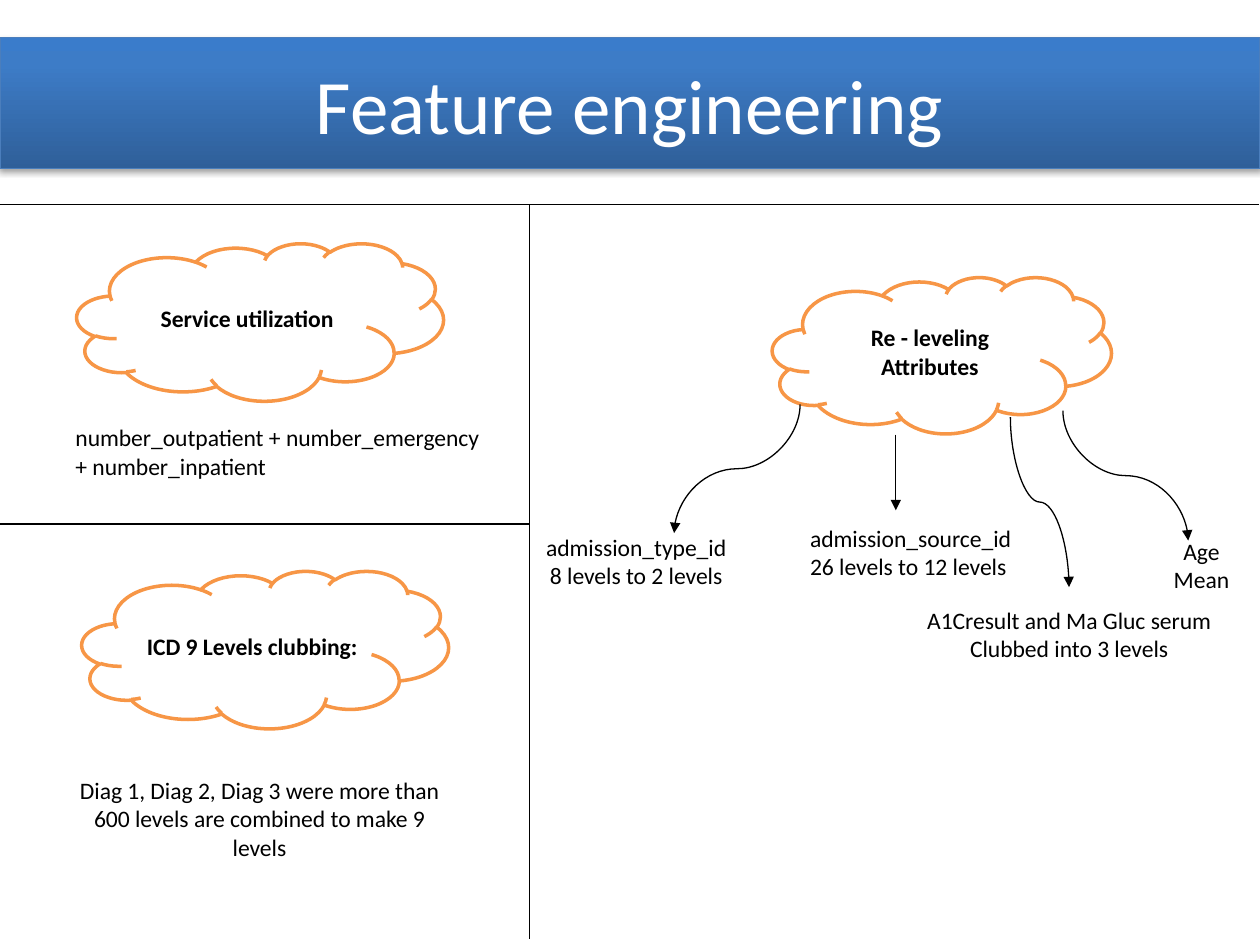
import copy

import pptx
import pptx.dml.color
import pptx.enum.dml
import pptx.enum.shapes
import pptx.enum.text
import pptx.oxml
import pptx.oxml.ns
import pptx.util

Pt = pptx.util.Pt
qn = pptx.oxml.ns.qn
SHAPE = pptx.enum.shapes.MSO_SHAPE
CONNECTOR = pptx.enum.shapes.MSO_CONNECTOR
ALIGN = pptx.enum.text.PP_ALIGN
ANCHOR = pptx.enum.text.MSO_ANCHOR
AUTO_SIZE = pptx.enum.text.MSO_AUTO_SIZE
NS = pptx.oxml.ns.nsdecls("a")


def rgb(value):
    return pptx.dml.color.RGBColor.from_string(value)


class SlideBuilder:
    font = "Calibri"
    size = 13.5
    black = "000000"
    white = "FFFFFF"
    accent = "F79646"
    title_line = "4B7EBC"
    title_stops = ((0, "2F5F99"), (0.8, "3D7CC7"), (1, "3A7CCB"))

    def __init__(self, s):
        self.s = s

    def format_text(self, tf, align, size=None, color=None, bold=False):
        for p in tf.paragraphs:
            p.alignment = align
            for r in p.runs:
                r.font.name = self.font
                r.font.size = Pt(size or self.size)
                r.font.bold = bold
                r.font.color.rgb = rgb(color or self.black)

    def title(self, text, x, y, w, h):
        sp = self.s.shapes.title
        sp.left, sp.top, sp.width, sp.height = Pt(x), Pt(y), Pt(w), Pt(h)
        sp.fill.gradient()
        sp.fill.gradient_angle = 90
        spPr = sp.element.spPr
        stops = spPr.find(".//" + qn("a:gsLst"))
        stops.insert(1, copy.deepcopy(stops[0]))
        for stop, (position, color) in zip(sp.fill.gradient_stops, self.title_stops):
            stop.position = position
            stop.color.rgb = rgb(color)
        sp.line.color.rgb = rgb(self.title_line)
        sp.line.width = Pt(0.75)
        spPr.append(pptx.oxml.parse_xml(
            f'<a:effectLst {NS}><a:outerShdw blurRad="{Pt(3.1)}" dist="{Pt(1.8)}" '
            'dir="5400000" rotWithShape="0"><a:srgbClr val="000000">'
            '<a:alpha val="35000"/></a:srgbClr></a:outerShdw></a:effectLst>'))
        tf = sp.text_frame
        tf.text = text
        tf.vertical_anchor = ANCHOR.MIDDLE
        self.format_text(tf, ALIGN.CENTER, 44, self.white)

    def cloud(self, text, x, y, w, h):
        sp = self.s.shapes.add_shape(SHAPE.CLOUD, Pt(x), Pt(y), Pt(w), Pt(h))
        sp.shadow.inherit = False
        sp.fill.solid()
        sp.fill.fore_color.rgb = rgb(self.white)
        sp.line.color.rgb = rgb(self.accent)
        sp.line.width = Pt(2)
        tf = sp.text_frame
        tf.text = text
        tf.word_wrap = True
        tf.vertical_anchor = ANCHOR.MIDDLE
        self.format_text(tf, ALIGN.CENTER, bold=True)

    def text(self, text, x, y, w, h, align=ALIGN.CENTER, wrap=False):
        tf = self.s.shapes.add_textbox(Pt(x), Pt(y), Pt(w), Pt(h)).text_frame
        tf.text = text
        tf.word_wrap = wrap
        tf.auto_size = AUTO_SIZE.SHAPE_TO_FIT_TEXT
        self.format_text(tf, align)

    def line(self, x1, y1, x2, y2, kind=CONNECTOR.STRAIGHT, arrow=False):
        c = self.s.shapes.add_connector(kind, Pt(x1), Pt(y1), Pt(x2), Pt(y2))
        c.line.color.rgb = rgb(self.black)
        c.line.width = Pt(0.75)
        if arrow:
            c.line._get_or_add_ln().append(
                pptx.oxml.parse_xml(f'<a:tailEnd {NS} type="triangle"/>'))
        c.element.spPr.append(pptx.oxml.parse_xml(f"<a:effectLst {NS}/>"))
        return c

    def curved_arrow(self, x1, y1, x2, y2):
        cx, cy = (x1 + x2) / 2, (y1 + y2) / 2
        half_w, half_h = (y2 - y1) / 2, abs(x2 - x1) / 2
        leftward = x2 < x1
        if not leftward:
            half_w = -half_w
        c = self.line(cx - half_w, cy - half_h, cx + half_w, cy + half_h,
                      CONNECTOR.CURVE, arrow=True)
        xfrm = c.element.spPr.find(qn("a:xfrm"))
        xfrm.set("rot", str((90 if leftward else 270) * 60000))


def main():
    prs = pptx.Presentation()
    prs.slide_width, prs.slide_height = Pt(720), Pt(540)
    b = SlideBuilder(prs.slides.add_slide(prs.slide_layouts[5]))

    b.title("Feature engineering", 0, 21.6, 720, 74.9)

    b.cloud("Service utilization", 43.9, 139, 209.5, 90)
    b.text("number_outpatient + number_emergency + number_inpatient",
           36, 238.3, 250.6, 40.3, ALIGN.LEFT, wrap=True)

    b.cloud("Re - leveling Attributes", 441.4, 158.4, 193.7, 89.3)
    for points in ((457.2, 231.1, 385.2, 304.6),
                   (607.4, 234.7, 679, 308.9),
                   (577.4, 238.3, 610.9, 335.5)):
        b.curved_arrow(*points)
    b.line(511.9, 248.4, 511.9, 291.6, arrow=True)
    b.text("admission_type_id\n8 levels to 2 levels", 303.8, 301, 119.5, 40.3)
    b.text("admission_source_id\n26 levels to 12 levels",
           455.8, 295.9, 131, 40.3, ALIGN.LEFT)
    b.text("A1Cresult and Ma Gluc serum\nClubbed into 3 levels",
           521.3, 342.7, 179.3, 40.3)
    b.text("Age\nMean", 661.7, 303.1, 49.7, 40.3)

    b.cloud("ICD 9 Levels clubbing:", 46.8, 326.2, 209.5, 90)
    b.text("Diag 1, Diag 2, Diag 3 were more than 600 levels "
           "are combined to make 9 levels",
           33.1, 439.9, 230.4, 56.2, wrap=True)

    b.line(302.4, 116.8, 302.4, 536.4)
    b.line(-0.7, 116.8, 719.3, 116.8)
    b.line(-2.2, 299.5, 302.4, 299.5)

    prs.save("out.pptx")


if __name__ == "__main__":
    main()
